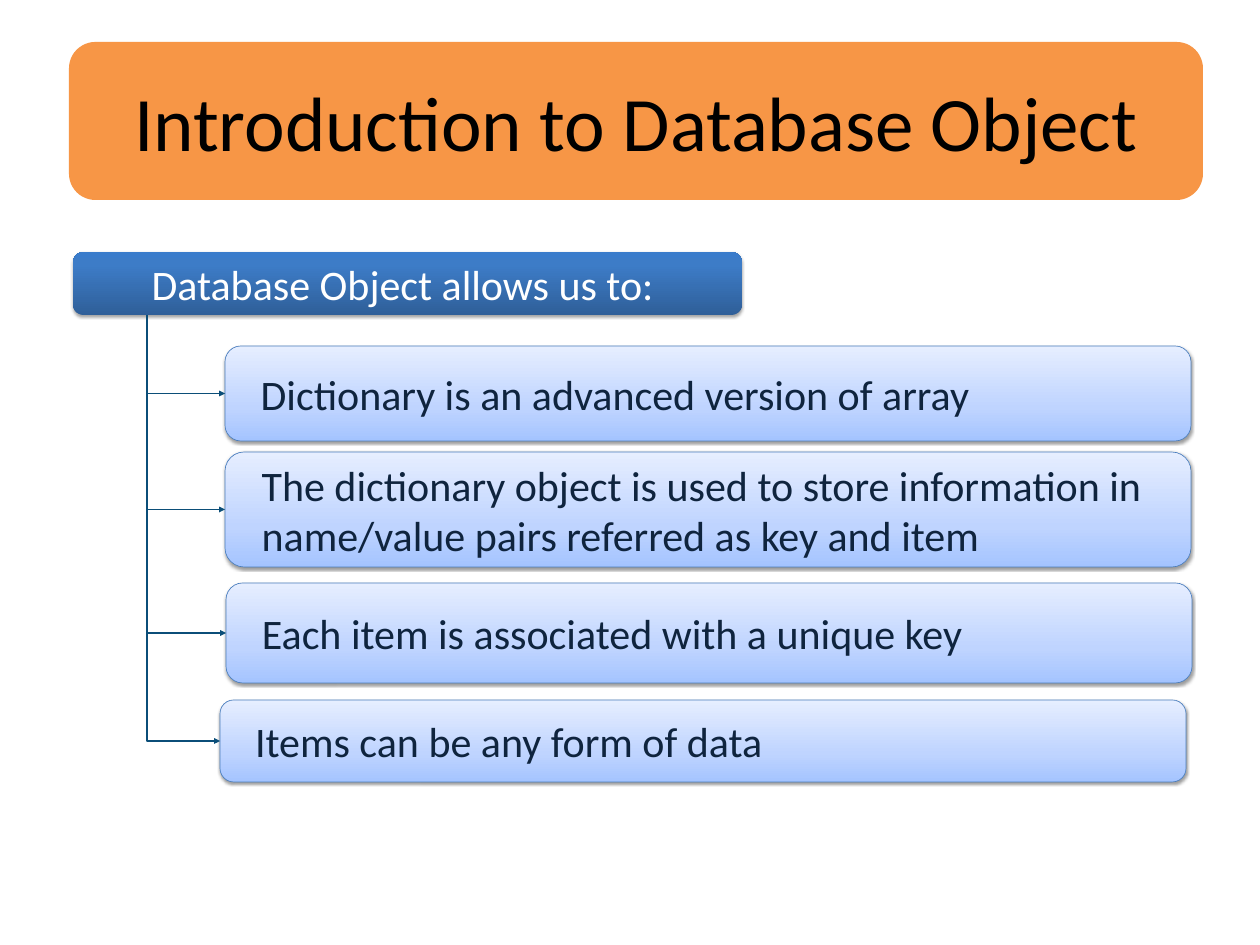
import pptx
import pptx.dml.color
import pptx.enum.shapes
import pptx.enum.text
import pptx.oxml
import pptx.oxml.ns
import pptx.util
from lxml import etree

PIXEL = 914400 / 63
FONT = "Calibri"
COLORS = {
    "title": "F79646", "title_text": "000000",
    "header_text": "FFFFFF",
    "point_line": "4B7EBC", "point_text": "0F243E",
    "arrow": "0B4E78", "shadow": "000000",
}
HEADER_STOPS = [(0, "2F5F99"), (80, "3D7CC7"), (100, "3A7CCB")]
POINT_STOPS = [(0, "A4C4FF"), (35, "BFD4FF"), (100, "E6EEFF")]

# Each point: left, top, height, wording
POINT_WIDTH = 966
POINTS = [
    (225, 346, 95, "Dictionary is an advanced version of array"),
    (225, 452, 115, "The dictionary object is used to store information in "
                    "name/value pairs referred as key and item"),
    (226, 583, 100, "Each item is associated with a unique key"),
    (220, 700, 82, "Items can be any form of data"),
]
TRUNK_X, TRUNK_TOP = 147, 315


def emu(pixels):
    return pptx.util.Emu(round(pixels * PIXEL))


def rgb(name):
    return pptx.dml.color.RGBColor.from_string(COLORS[name])


def add_child(parent, tag, **attributes):
    child = etree.SubElement(parent, pptx.oxml.ns.qn(tag))
    for key, value in attributes.items():
        child.set(key, str(value))
    return child


def add_box(slide, left, top, width, height):
    box = slide.shapes.add_shape(
        pptx.enum.shapes.MSO_SHAPE.ROUNDED_RECTANGLE,
        emu(left), emu(top), emu(width), emu(height))
    box.shadow.inherit = False
    box.line.fill.background()
    return box


def set_gradient(box, stops):
    box.fill.gradient()
    box.fill.gradient_angle = 90
    stop_list = box._element.spPr.find(".//" + pptx.oxml.ns.qn("a:gsLst"))
    for stop in list(stop_list):
        stop_list.remove(stop)
    for position, color in stops:
        stop = add_child(stop_list, "a:gs", pos=position * 1000)
        add_child(stop, "a:srgbClr", val=color)


def set_shadow(box, opacity, distance):
    effects = box._element.spPr.find(pptx.oxml.ns.qn("a:effectLst"))
    shadow = add_child(effects, "a:outerShdw", blurRad=pptx.util.Pt(3.1),
                       dist=pptx.util.Pt(distance), dir=90 * 60000, rotWithShape=0)
    color = add_child(shadow, "a:srgbClr", val=COLORS["shadow"])
    add_child(color, "a:alpha", val=opacity * 1000)


def set_text(box, wording, size, color, centred=True, insets=(13, 6)):
    frame = box.text_frame
    frame.word_wrap = True
    frame.vertical_anchor = pptx.enum.text.MSO_ANCHOR.MIDDLE
    frame.margin_left = frame.margin_right = emu(insets[0])
    frame.margin_top = frame.margin_bottom = emu(insets[1])
    frame.text = wording
    paragraph = frame.paragraphs[0]
    align = pptx.enum.text.PP_ALIGN
    paragraph.alignment = align.CENTER if centred else align.LEFT
    font = paragraph.runs[0].font
    font.name, font.size = FONT, pptx.util.Pt(size)
    font.color.rgb = rgb(color)
    return paragraph


def add_title(slide):
    title = add_box(slide, 69, 42, 1134, 158)
    title.fill.solid()
    title.fill.fore_color.rgb = rgb("title")
    set_text(title, "Introduction to Database Object", 88, "title_text")


def add_header(slide):
    header = add_box(slide, 73, 252, 669, 63)
    set_gradient(header, HEADER_STOPS)
    set_shadow(header, 35, 1.8)
    set_text(header, "Database Object allows us to: ", 48, "header_text", insets=(6, 3))


def add_point(slide, left, top, height, wording):
    point = add_box(slide, left, top, POINT_WIDTH, height)
    set_gradient(point, POINT_STOPS)
    point.line.color.rgb = rgb("point_line")
    point.line.width = pptx.util.Pt(0.75)
    set_shadow(point, 38, 1.6)
    paragraph = set_text(point, wording, 48, "point_text", centred=False)
    properties = paragraph._p.get_or_add_pPr()
    properties.set("marL", str(emu(18)))
    properties.set("indent", "0")


def add_branch(slide, end_x, end_y):
    """Draw a down-then-right arrow: a one-bend elbow turned by 270 degrees."""
    across, down = end_x - TRUNK_X, end_y - TRUNK_TOP
    left = TRUNK_X + (across - down) / 2
    top = TRUNK_TOP + (down - across) / 2
    branch = slide.shapes.add_connector(
        pptx.enum.shapes.MSO_CONNECTOR.ELBOW,
        emu(left), emu(top), emu(left + down), emu(top + across))
    branch.line.color.rgb = rgb("arrow")
    branch.line.width = pptx.util.Pt(2.25)
    add_child(branch.line._get_or_add_ln(), "a:tailEnd", type="triangle")
    properties = branch._element.spPr
    properties.find(pptx.oxml.ns.qn("a:prstGeom")).set("prst", "bentConnector2")
    turn = properties.find(pptx.oxml.ns.qn("a:xfrm"))
    turn.set("rot", str(270 * 60000))
    turn.set("flipH", "1")
    add_child(properties, "a:effectLst")


def main():
    deck = pptx.Presentation()
    deck.slide_width, deck.slide_height = emu(1260), emu(945)
    slide = deck.slides.add_slide(deck.slide_layouts[6])

    # Points under the header
    for point in POINTS:
        add_point(slide, *point)
    add_header(slide)

    # Arrows from the header to the middle of each point
    for left, top, height, _ in POINTS:
        add_branch(slide, left, top + height / 2)

    add_title(slide)
    deck.save("out.pptx")


main()
